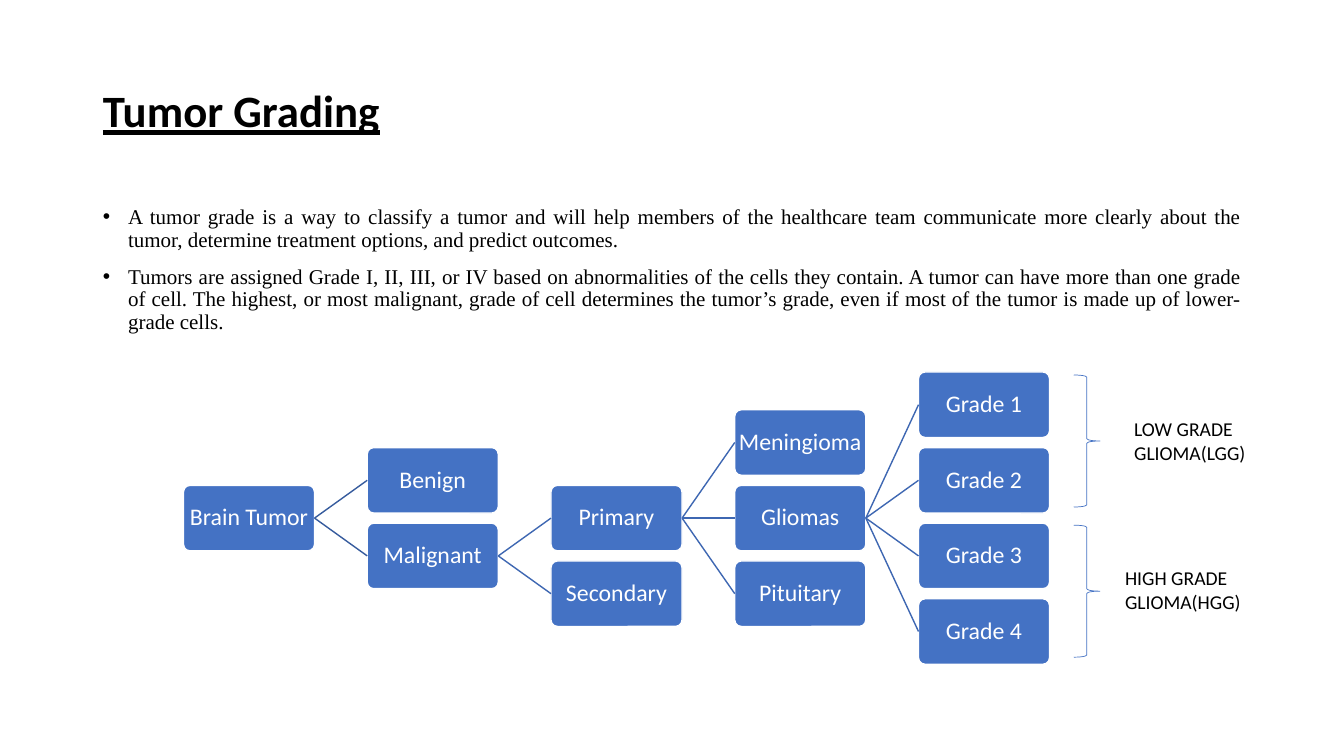
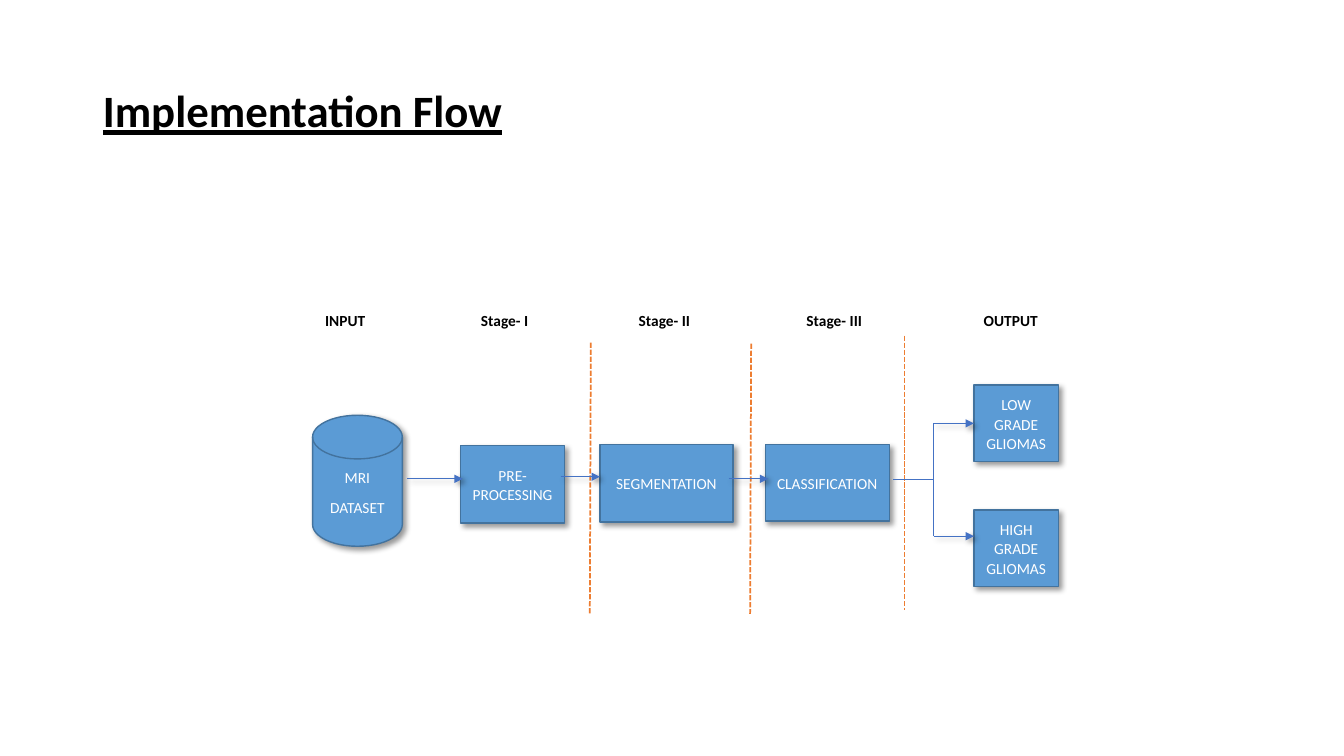
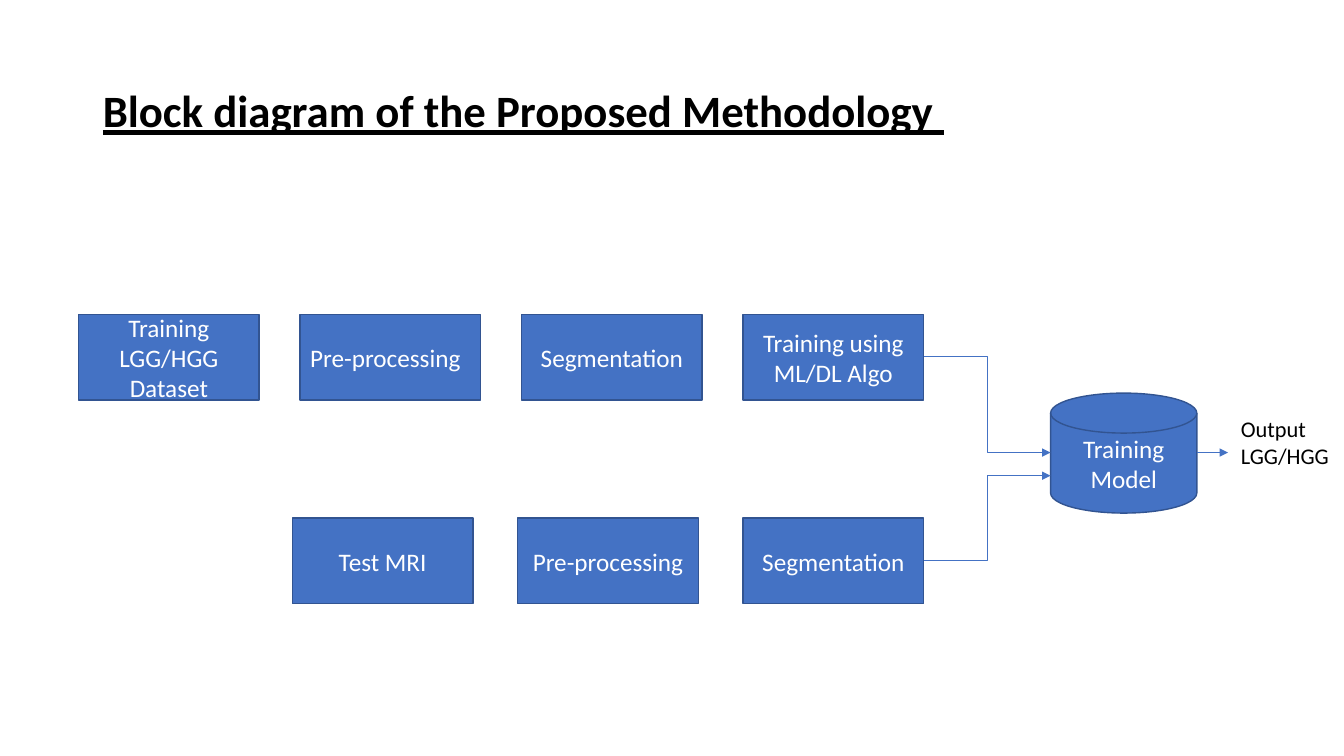
from lxml import etree
from pptx import Presentation
from pptx.dml.color import RGBColor
from pptx.enum.dml import MSO_LINE
from pptx.enum.shapes import MSO_CONNECTOR, MSO_SHAPE
from pptx.enum.text import MSO_ANCHOR, MSO_AUTO_SIZE, PP_ALIGN
from pptx.oxml.ns import qn
from pptx.util import Inches, Pt

# ---- Shared style ----
COLORS = {
    "black": "000000", "white": "FFFFFF", "blue": "4472C4", "edge": "325491",
    "root_link": "365B9D", "link": "3E67B2", "sky": "5B9BD5",
    "sky_edge": "43739E", "orange": "ED7D31",
}
TITLE_AREA = (0.92, 0.4, 11.5, 1.45)
TITLE_ONLY, TITLE_AND_BODY = 5, 1

# ---- Content: Tumor Grading ----
GRADING_POINTS = [
    "A tumor grade is a way to classify a tumor and will help members of the "
    "healthcare team communicate more clearly about the tumor, determine "
    "treatment options, and predict outcomes.",
    "Tumors are assigned Grade I, II, III, or IV based on abnormalities of the "
    "cells they contain. A tumor can have more than one grade of cell. The "
    "highest, or most malignant, grade of cell determines the tumor’s grade, "
    "even if most of the tumor is made up of lower-grade cells.",
]
# name, parent, column, row
TUMOR_TREE = [
    ("Brain Tumor", None, 0, 1.5),
    ("Benign", "Brain Tumor", 1, 1),
    ("Malignant", "Brain Tumor", 1, 2),
    ("Primary", "Malignant", 2, 1.5),
    ("Secondary", "Malignant", 2, 2.5),
    ("Meningioma", "Primary", 3, 0.5),
    ("Gliomas", "Primary", 3, 1.5),
    ("Pituitary", "Primary", 3, 2.5),
    ("Grade 1", "Gliomas", 4, 0),
    ("Grade 2", "Gliomas", 4, 1),
    ("Grade 3", "Gliomas", 4, 2),
    ("Grade 4", "Gliomas", 4, 3),
]
# brace top, label, label area
GRADE_RANGES = [
    (3.72, "LOW GRADE GLIOMA(LGG)", (11.15, 4.09, 1.35, 0.57)),
    (5.21, "HIGH GRADE GLIOMA(HGG)", (11.06, 5.57, 1.53, 0.57)),
]

# ---- Content: Implementation Flow ----
# heading, left, width
STAGE_HEADINGS = [
    ("INPUT", 3.06, 0.73), ("Stage- I", 4.64, 0.73), ("Stage- II", 5.95, 1.28),
    ("Stage- III", 7.86, 0.83), ("OUTPUT", 9.63, 0.79),
]
FLOW_STEPS = [
    ("MRI\nDATASET", MSO_SHAPE.FLOWCHART_MAGNETIC_DISK, (3.1, 4.12, 0.89, 1.3)),
    ("PRE-PROCESSING", MSO_SHAPE.RECTANGLE, (4.57, 4.42, 1.03, 0.77)),
    ("SEGMENTATION", MSO_SHAPE.RECTANGLE, (5.95, 4.41, 1.32, 0.77)),
    ("CLASSIFICATION", MSO_SHAPE.RECTANGLE, (7.59, 4.41, 1.23, 0.76)),
    ("LOW GRADE GLIOMAS", MSO_SHAPE.RECTANGLE, (9.66, 3.82, 0.84, 0.76)),
    ("HIGH GRADE GLIOMAS", MSO_SHAPE.RECTANGLE, (9.66, 5.06, 0.84, 0.76)),
]
STAGE_DIVIDERS = [(5.86, 3.4, 5.85, 6.09), (7.45, 3.41, 7.44, 6.09),
                  (8.97, 3.33, 8.97, 6.05)]
FLOW_ARROWS = [(4.04, 4.75, 4.59, 4.75), (5.56, 4.73, 5.95, 4.73),
               (7.23, 4.75, 7.62, 4.75), (9.26, 5.32, 9.66, 5.32)]
OUTPUT_FORK = [(8.86, 4.76, 9.26, 4.76), (9.26, 4.2, 9.26, 5.32)]
LOW_GRADE_ARROW = (9.26, 4.2, 9.66, 4.2)

# ---- Content: Block diagram ----
# first left, last left, top, steps
METHOD_ROWS = [
    (0.78, 7.37, 3.12, ["Training LGG/HGG Dataset", "Pre-processing",
                        "Segmentation", "Training using\nML/DL Algo"]),
    (2.9, 7.37, 5.14, ["Test MRI", "Pre-processing", "Segmentation"]),
]
MODEL_INPUTS = [(9.16, 3.54, 10.42, 4.49), (9.16, 5.56, 10.42, 4.72)]
MODEL_OUTPUT = (11.87, 4.49, 12.18, 4.49)


# ---- Helpers ----
def rgb(name):
    return RGBColor.from_string(COLORS[name])


def area(box):
    return [Inches(value) for value in box]


def write(frame, text, size=18, color="white", font="Calibri", bold=False,
          underline=False, align=PP_ALIGN.LEFT, anchor=MSO_ANCHOR.TOP,
          spacing=1.0, before=0, after=0, side_insets=(0.1, 0.1), bullet_indent=None,
          fit=MSO_AUTO_SIZE.NONE):
    frame.word_wrap = True
    frame.auto_size = fit
    frame.vertical_anchor = anchor
    frame.margin_left, frame.margin_right = area(side_insets)
    for index, line in enumerate(text.split("\n")):
        paragraph = frame.paragraphs[0] if index == 0 else frame.add_paragraph()
        paragraph.alignment = align
        paragraph.line_spacing = spacing
        paragraph.space_before, paragraph.space_after = Pt(before), Pt(after)
        if bullet_indent:
            properties = paragraph._p.get_or_add_pPr()
            properties.set("marL", str(Inches(bullet_indent)))
            properties.set("indent", str(-Inches(bullet_indent)))
        run = paragraph.add_run()
        run.text = line
        run.font.name, run.font.size = font, Pt(size)
        run.font.bold, run.font.underline = bold, underline
        run.font.color.rgb = rgb(color)


def add_titled_slide(deck, title, layout=TITLE_ONLY):
    slide = deck.slides.add_slide(deck.slide_layouts[layout])
    heading = slide.shapes.title
    heading.left, heading.top, heading.width, heading.height = area(TITLE_AREA)
    write(heading.text_frame, title, size=32, color="black", bold=True,
          underline=True, anchor=MSO_ANCHOR.MIDDLE, spacing=0.9)
    return slide


def add_label(slide, box, text, **text_format):
    label = slide.shapes.add_textbox(*area(box))
    write(label.text_frame, text, color="black", **text_format)


def add_node(slide, kind, box, text, fill="blue", line="edge", **text_format):
    node = slide.shapes.add_shape(kind, *area(box))
    node.shadow.inherit = False
    node.fill.solid()
    node.fill.fore_color.rgb = rgb(fill)
    node.line.color.rgb, node.line.width = rgb(line), Pt(1)
    write(node.text_frame, text, align=PP_ALIGN.CENTER,
          anchor=MSO_ANCHOR.MIDDLE, **text_format)
    return node


def add_link(slide, ends, color="blue", width=0.5, kind=MSO_CONNECTOR.STRAIGHT,
             arrow=False, dash=None):
    link = slide.shapes.add_connector(kind, *area(ends))
    link.line.color.rgb, link.line.width = rgb(color), Pt(width)
    if dash:
        link.line.dash_style = dash
    if arrow:
        etree.SubElement(link.line._get_or_add_ln(), qn("a:tailEnd"), type="triangle")
    etree.SubElement(link._element.spPr, qn("a:effectLst"))
    return link


def cast_shadow(shape):
    effects = shape._element.spPr.find(qn("a:effectLst"))
    shadow = etree.SubElement(effects, qn("a:outerShdw"), blurRad=str(Pt(4)),
                              dist=str(Pt(3)), dir="2700000", algn="tl",
                              rotWithShape="0")
    tint = etree.SubElement(shadow, qn("a:srgbClr"), val=COLORS["black"])
    etree.SubElement(tint, qn("a:alpha"), val="40000")


# ---- Slides ----
def build_grading(deck):
    slide = add_titled_slide(deck, "Tumor Grading", TITLE_AND_BODY)
    points = slide.placeholders[1]
    points.left, points.top, points.width, points.height = area((0.92, 2, 11.5, 4.76))
    write(points.text_frame, "\n".join(GRADING_POINTS), size=15, color="black",
          font="Times New Roman", align=PP_ALIGN.JUSTIFY, spacing=0.9, before=10,
          bullet_indent=0.25)

    # Tumor tree
    nodes = {}
    for name, parent, column, row in TUMOR_TREE:
        box = (1.82 + 1.8225 * column, 3.69 + 0.75 * row, 1.3, 0.65)
        nodes[name] = add_node(slide, MSO_SHAPE.ROUNDED_RECTANGLE, box, name,
                               line="white", size=17, spacing=0.9,
                               side_insets=(0.02, 0.02))
        nodes[name].adjustments[0] = 0.1
        if parent:
            branch = add_link(slide, (0, 0, 1, 1), width=1,
                              color="root_link" if column == 1 else "link")
            branch.begin_connect(nodes[parent], 3)
            branch.end_connect(nodes[name], 1)

    # Grade ranges
    for top, label, box in GRADE_RANGES:
        brace = slide.shapes.add_shape(MSO_SHAPE.RIGHT_BRACE,
                                       *area((10.65, top, 0.26, 1.31)))
        brace.shadow.inherit = False
        brace.fill.background()
        brace.line.color.rgb, brace.line.width = rgb("blue"), Pt(0.5)
        add_label(slide, box, label, size=14, fit=MSO_AUTO_SIZE.SHAPE_TO_FIT_TEXT)


def build_flow(deck):
    slide = add_titled_slide(deck, "Implementation Flow")
    for heading, left, width in STAGE_HEADINGS:
        add_label(slide, (left, 3.03, width, 0.3), heading, size=11, bold=True,
                  align=PP_ALIGN.CENTER, spacing=1.06, after=8)
    steps = {}
    for name, kind, box in FLOW_STEPS:
        steps[name] = add_node(slide, kind, box, name, fill="sky", line="sky_edge",
                               size=11, spacing=1.06, after=8)
        cast_shadow(steps[name])
    for ends in STAGE_DIVIDERS:
        add_link(slide, ends, color="orange", width=1.25, dash=MSO_LINE.SQUARE_DOT)
    for ends in OUTPUT_FORK:
        add_link(slide, ends)
    for ends in FLOW_ARROWS + [LOW_GRADE_ARROW]:
        arrow = add_link(slide, ends, arrow=True)
        cast_shadow(arrow)
        if ends == LOW_GRADE_ARROW:
            arrow.end_connect(steps["LOW GRADE GLIOMAS"], 1)


def build_methodology(deck):
    slide = add_titled_slide(deck, "Block diagram of the Proposed Methodology ")
    for first, last, top, names in METHOD_ROWS:
        pitch = (last - first) / (len(names) - 1)
        for index, name in enumerate(names):
            # The training row sets its second step slightly left of centre
            insets = (0.02, 0.12) if (top, index) == (3.12, 1) else (0.1, 0.1)
            add_node(slide, MSO_SHAPE.RECTANGLE,
                     (first + pitch * index, top, 1.79, 0.85), name,
                     side_insets=insets)
    add_node(slide, MSO_SHAPE.FLOWCHART_MAGNETIC_DISK, (10.42, 3.9, 1.45, 1.19),
             "Training Model")
    for ends in MODEL_INPUTS:
        add_link(slide, ends, kind=MSO_CONNECTOR.ELBOW, arrow=True)
    add_link(slide, MODEL_OUTPUT, arrow=True)
    add_label(slide, (12.21, 4.07, 1.12, 0.64), "Output\nLGG/HGG", size=16,
              fit=MSO_AUTO_SIZE.SHAPE_TO_FIT_TEXT)


def main():
    deck = Presentation()
    deck.slide_width, deck.slide_height = Inches(13.33), Inches(7.5)
    build_grading(deck)
    build_flow(deck)
    build_methodology(deck)
    deck.save("out.pptx")


if __name__ == "__main__":
    main()
